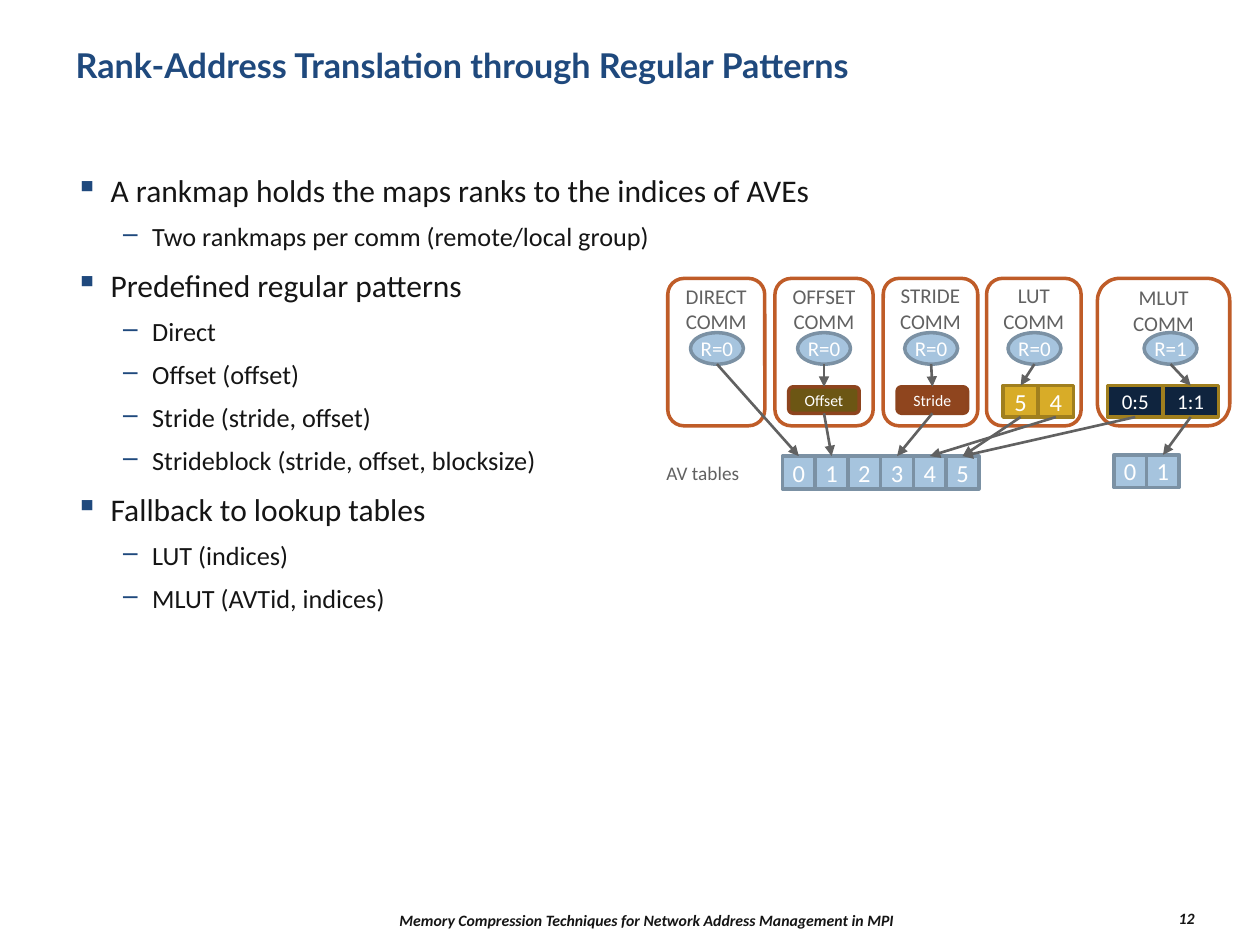
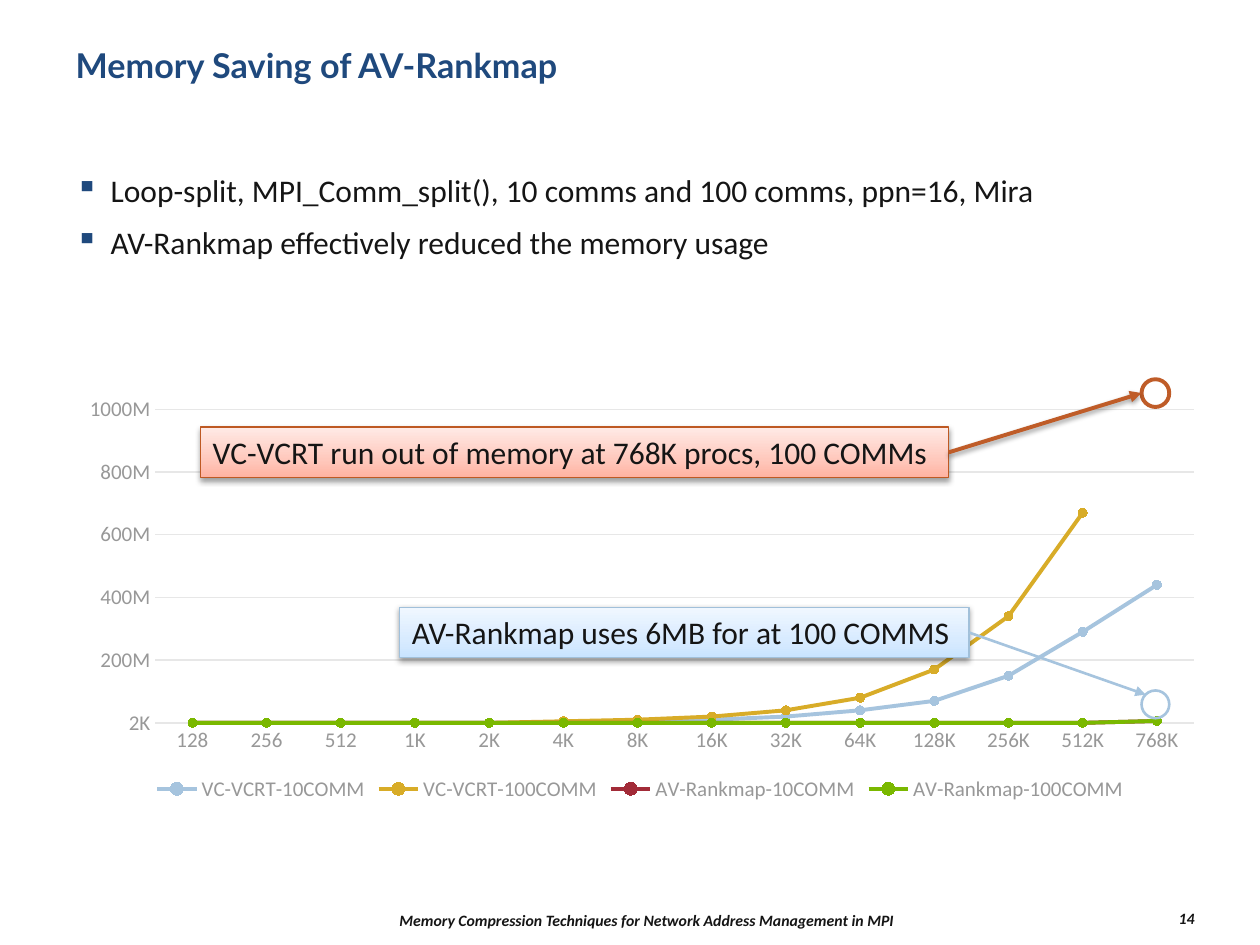
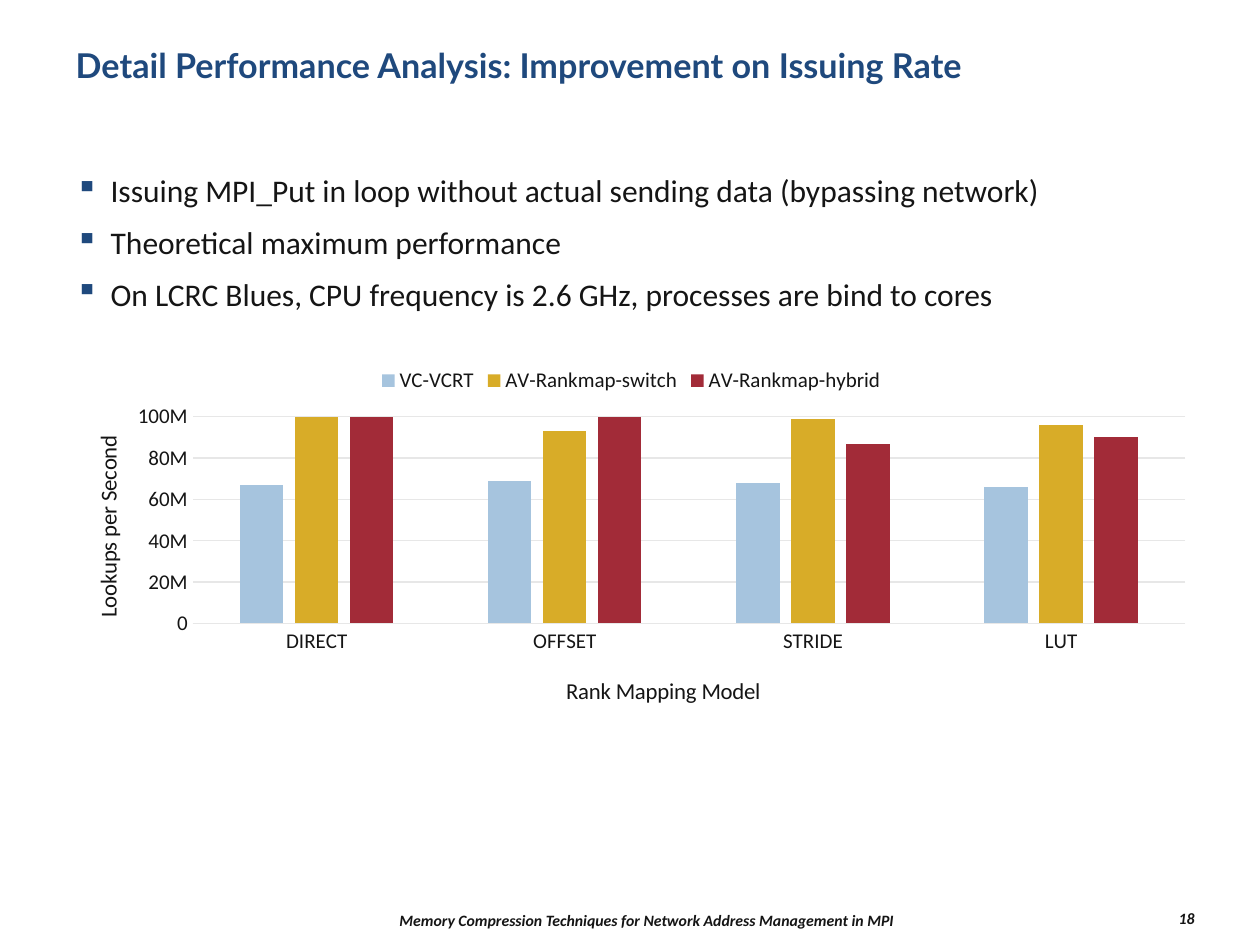
import dataclasses

import lxml.etree
import pptx
import pptx.chart.data
import pptx.dml.color
import pptx.enum.chart
import pptx.enum.dml
import pptx.enum.shapes
import pptx.enum.text
import pptx.oxml.ns
import pptx.util

SCALE = 9144
SHAPE = pptx.enum.shapes.MSO_SHAPE
ALIGN = pptx.enum.text.PP_ALIGN
ANCHOR = pptx.enum.text.MSO_ANCHOR
CHART = pptx.enum.chart.XL_CHART_TYPE
LEGEND = pptx.enum.chart.XL_LEGEND_POSITION
TICK = pptx.enum.chart.XL_TICK_MARK
qn = pptx.oxml.ns.qn
Pt = pptx.util.Pt

JOINTS = {"top": 0, "left": 1, "bottom": 2, "right": 3}
SITES = {"top": (0.5, 0), "left": (0, 0.5), "bottom": (0.5, 1),
         "right": (1, 0.5), "top_left": (0.15, 0.15)}


@dataclasses.dataclass(frozen=True)
class Theme:
    title_font: str = "Lato"
    font: str = "Calibri"
    title_size: float = 19.5
    body_sizes: tuple = (18, 15)
    footer_size: int = 9
    callout_size: int = 18
    cell_size: int = 14
    label_size: int = 12
    note_size: int = 11
    tag_size: int = 9
    axis_title_size: int = 13
    navy: str = "1F497D"
    ink: str = "151515"
    white: str = "FFFFFF"
    grey: str = "616161"
    axis_grey: str = "989898"
    grid: str = "E7E7E7"
    orange: str = "BF5C28"
    orange_edge: str = "BE5923"
    blue: str = "A6C4DE"
    blue_line: str = "7B91A4"
    blue_edge: str = "A1C0DA"
    gold: str = "D8AC28"
    gold_line: str = "A07F1E"
    red: str = "A22B38"
    green: str = "7AB800"
    olive: str = "6C5614"
    rust: str = "8F451E"
    rust_line: str = "8D441E"
    midnight: str = "0F243E"
    salmon_fade: tuple = ((0, "FFB2A1"), (35, "FFC8BC"), (100, "FFEAE6"))
    sky_fade: tuple = ((0, "C9E4FF"), (35, "D8EBFF"), (100, "F0F7FF"))
    footer: str = "Memory Compression Techniques for Network Address Management in MPI"


def rgb(color):
    return pptx.dml.color.RGBColor.from_string(color)


def assign(obj, **values):
    for name, value in values.items():
        setattr(obj, name, value)


def child(parent, tag, **attrs):
    values = {name: str(value) for name, value in attrs.items()}
    return lxml.etree.SubElement(parent, qn(tag), values)


def px(*lengths):
    return [pptx.util.Emu(length * SCALE) for length in lengths]


def site(shape, side):
    fx, fy = SITES[side]
    return round(shape.left + shape.width * fx), round(shape.top + shape.height * fy)


class Deck:
    def __init__(self, theme):
        self.theme = theme
        self.prs = pptx.Presentation()
        self.prs.slide_width, self.prs.slide_height = px(1000, 750)
        self.s = None

    def slide(self, title, number):
        t = self.theme
        self.s = self.prs.slides.add_slide(self.prs.slide_layouts[5])
        sp = self.s.shapes.title
        sp.left, sp.top, sp.width, sp.height = px(50, 30, 900, 87)
        self.fill_text(sp.text_frame, [title], t.title_size, t.navy, ALIGN.LEFT,
                       ANCHOR.TOP, font=t.title_font, bold=True)
        footer = dict(size=t.footer_size, anchor=ANCHOR.MIDDLE, bold=True, italic=True)
        self.label(t.footer, (217, 717, 592, 27), align=ALIGN.CENTER, **footer)
        self.label(str(number), (850, 715, 108, 27), align=ALIGN.RIGHT, **footer)

    def style_font(self, font, size, color, name=None, **extra):
        assign(font, name=name or self.theme.font, size=Pt(size), **extra)
        font.color.rgb = rgb(color)

    def fill_text(self, tf, lines, size, color, align, anchor, font=None,
                  wrap=True, margin=None, **extra):
        assign(tf, word_wrap=wrap, vertical_anchor=anchor,
               auto_size=pptx.enum.text.MSO_AUTO_SIZE.NONE)
        if margin is not None:
            assign(tf, margin_left=margin, margin_right=margin,
                   margin_top=margin, margin_bottom=margin)
        for i, line in enumerate(lines):
            p = tf.add_paragraph() if i else tf.paragraphs[0]
            p.alignment = align
            r = p.add_run()
            r.text = line
            self.style_font(r.font, size, color, font, **extra)

    def label(self, text, box, size, color=None, align=ALIGN.LEFT,
              anchor=ANCHOR.TOP, **extra):
        sp = self.s.shapes.add_textbox(*px(*box))
        self.fill_text(sp.text_frame, [text], size, color or self.theme.ink,
                       align, anchor, **extra)

    def bullets(self, items, height):
        t = self.theme
        tf = self.s.shapes.add_textbox(*px(50, 125, 900, height)).text_frame
        tf.word_wrap = True
        for i, (level, text) in enumerate(items):
            p = tf.add_paragraph() if i else tf.paragraphs[0]
            pPr = p._p.get_or_add_pPr()
            left, indent = ((28, -28), (61, -23))[level]
            pPr.set("marL", str(left * SCALE))
            pPr.set("indent", str(indent * SCALE))
            child(child(pPr, "a:buClr"), "a:srgbClr", val=t.navy)
            child(pPr, "a:buChar", char="▪–"[level])
            size = t.body_sizes[level]
            assign(p, level=level, line_spacing=1.2,
                   space_before=Pt(size * 0.2 if i else 0))
            r = p.add_run()
            r.text = text
            self.style_font(r.font, size, t.ink)

    def shape(self, kind, box, fill, line, width=2, lines=(), size=12, color=None,
              anchor=ANCHOR.MIDDLE):
        sp = self.s.shapes.add_shape(kind, *px(*box))
        sp.shadow.inherit = False
        if fill:
            sp.fill.solid()
            sp.fill.fore_color.rgb = rgb(fill)
        else:
            sp.fill.background()
        sp.line.color.rgb = rgb(line)
        sp.line.width = Pt(width)
        if lines:
            self.fill_text(sp.text_frame, lines, size, color or self.theme.white,
                           ALIGN.CENTER, anchor, margin=0)
        return sp

    def cells(self, labels, box, fill, line, size):
        x, y, w, h = box
        return [self.shape(SHAPE.RECTANGLE, (x + i * w, y, w, h), fill, line,
                           lines=[text], size=size) for i, text in enumerate(labels)]

    def callout(self, text, box, fade, edge):
        t = self.theme
        sp = self.shape(SHAPE.RECTANGLE, box, t.white, edge, 0.75)
        sp.fill.gradient()
        sp.fill.gradient_angle = 90
        stops = sp._element.spPr.find(".//" + qn("a:gsLst"))
        for stop in list(stops):
            stops.remove(stop)
        for pos, color in fade:
            child(child(stops, "a:gs", pos=pos * 1000), "a:srgbClr", val=color)
        self.fill_text(sp.text_frame, [text], t.callout_size, t.ink, ALIGN.LEFT,
                       ANCHOR.TOP, wrap=False)
        self.cast_shadow(sp._element.spPr.find(qn("a:effectLst")))
        return sp

    def cast_shadow(self, effects):
        shadow = child(effects, "a:outerShdw", blurRad=Pt(3.1), dist=Pt(1.6),
                       dir=5400000, rotWithShape=0)
        color = child(shadow, "a:srgbClr", val="000000")
        child(color, "a:alpha", val=38000)

    def arrow(self, start, start_side, end, end_side, color=None, width=1.5,
              shadow=False):
        c = self.s.shapes.add_connector(pptx.enum.shapes.MSO_CONNECTOR.STRAIGHT,
                                        *site(start, start_side), *site(end, end_side))
        for sp, side, connect in ((start, start_side, c.begin_connect),
                                  (end, end_side, c.end_connect)):
            if sp.auto_shape_type != SHAPE.OVAL:
                connect(sp, JOINTS[side])
        c.line.color.rgb = rgb(color or self.theme.grey)
        c.line.width = Pt(width)
        child(c.line._get_or_add_ln(), "a:tailEnd", type="triangle")
        effects = child(c._element.spPr, "a:effectLst")
        if shadow:
            self.cast_shadow(effects)

    def place(self, parent, **fractions):
        layout = parent.find(qn("c:layout"))
        if layout is None:
            layout = lxml.etree.Element(qn("c:layout"))
            parent.insert(0 if parent.find(qn("c:tx")) is None else 1, layout)
        manual = child(layout, "c:manualLayout")
        if "w" in fractions:
            child(manual, "c:layoutTarget", val="inner")
        for mode in ("c:xMode", "c:yMode"):
            child(manual, mode, val="edge")
        for name, value in fractions.items():
            child(manual, "c:" + name, val=value)

    def chart(self, kind, box, cats, series, color, legend, plot, scale, fmt):
        t = self.theme
        data = pptx.chart.data.CategoryChartData()
        data.categories = cats
        for name, values, _ in series:
            data.add_series(name, values)
        chart = self.s.shapes.add_chart(kind, *px(*box), data).chart
        assign(chart, has_title=False, has_legend=True)
        assign(chart.legend, position=legend, include_in_layout=False)
        for font in (chart.font, chart.legend.font):
            self.style_font(font, t.label_size, color)
        for axis in (chart.category_axis, chart.value_axis):
            assign(axis, major_tick_mark=TICK.NONE, minor_tick_mark=TICK.NONE)
            self.style_font(axis.tick_labels.font, t.label_size, color)
        assign(chart.value_axis, has_major_gridlines=True, **scale)
        assign(chart.value_axis.tick_labels, number_format=fmt,
               number_format_is_linked=False)
        chart.value_axis.format.line.fill.background()
        for line in (chart.category_axis.format.line,
                     chart.value_axis.major_gridlines.format.line):
            line.color.rgb = rgb(t.grid)
            line.width = Pt(0.75)
        chart.plots[0].vary_by_categories = False
        for ser, (_, _, ser_color) in zip(chart.plots[0].series, series):
            fills = [ser.format.fill]
            if kind == CHART.LINE_MARKERS:
                ser.smooth = False
                ser.format.line.color.rgb = rgb(ser_color)
                ser.format.line.width = Pt(2.25)
                assign(ser.marker, size=5,
                       style=pptx.enum.chart.XL_MARKER_STYLE.CIRCLE)
                ser.marker.format.line.color.rgb = rgb(ser_color)
                fills = [ser.marker.format.fill]
            for fill in fills:
                fill.solid()
                fill.fore_color.rgb = rgb(ser_color)
        self.place(chart.element.find(".//" + qn("c:plotArea")), **plot)
        return chart

    def axis_title(self, axis, text, x, y, rotation=0):
        axis.has_title = True
        title = axis.axis_title
        r = title.text_frame.paragraphs[0].add_run()
        r.text = text
        self.style_font(r.font, self.theme.axis_title_size, self.theme.ink, bold=False)
        title.element.find(".//" + qn("a:bodyPr")).set("rot", str(rotation * 60000))
        self.place(title.element, x=x, y=y)


def rankmap_slide(deck):
    t = deck.theme
    deck.slide("Rank-Address Translation through Regular Patterns", 12)
    deck.bullets([
        (0, "A rankmap holds the maps ranks to the indices of AVEs"),
        (1, "Two rankmaps per comm (remote/local group)"),
        (0, "Predefined regular patterns"),
        (1, "Direct"),
        (1, "Offset (offset)"),
        (1, "Stride (stride, offset)"),
        (1, "Strideblock (stride, offset, blocksize)"),
        (0, "Fallback to lookup tables"),
        (1, "LUT (indices)"),
        (1, "MLUT (AVTid, indices)"),
    ], 567)

    ranks = {}
    for name, x, w, rank, rank_x in (("DIRECT", 530, 77, "R=0", 548),
                                     ("OFFSET", 615, 78, "R=0", 633),
                                     ("STRIDE", 701, 75, "R=0", 718),
                                     ("LUT", 783, 75, "R=0", 800),
                                     ("MLUT", 871, 105, "R=1", 908)):
        deck.shape(SHAPE.ROUNDED_RECTANGLE, (x, 221, w, 117), t.white, t.orange,
                   lines=[name, "COMM"], size=t.label_size, color=t.grey,
                   anchor=ANCHOR.TOP)
        ranks[name] = deck.shape(SHAPE.OVAL, (rank_x, 264, 42, 25), t.blue,
                                 t.blue_line, lines=[rank], size=t.label_size)

    deck.label("AV tables", (519, 361, 79, 29), t.note_size, t.grey, wrap=False)
    table = deck.cells("012345", (621, 362, 26, 26), t.blue, t.blue_line, t.cell_size)
    table2 = deck.cells("01", (884, 361, 26, 26), t.blue, t.blue_line, t.cell_size)
    lut = deck.cells("54", (796, 306, 28, 25), t.gold, t.gold_line, t.cell_size)
    mlut = deck.cells(["0:5", "1:1"], (879, 306, 44, 25), t.midnight, t.gold_line,
                      t.label_size)
    offset, stride = [
        deck.shape(SHAPE.ROUNDED_RECTANGLE, (x, 307, 56, 21), fill, t.rust_line,
                   lines=[text], size=t.tag_size)
        for text, x, fill in (("Offset", 626, t.olive), ("Stride", 712, t.rust))]

    for start, end in ((ranks["DIRECT"], table[0]),
                       (ranks["OFFSET"], offset), (offset, table[1]),
                       (ranks["STRIDE"], stride), (stride, table[3]),
                       (ranks["LUT"], lut[0]), (lut[0], table[5]), (lut[1], table[4]),
                       (ranks["MLUT"], mlut[1]), (mlut[0], table[5]),
                       (mlut[1], table2[1])):
        deck.arrow(start, "bottom", end, "top")


def memory_slide(deck):
    t = deck.theme
    floor = 2000
    deck.slide("Memory Saving of AV-Rankmap", 14)
    deck.bullets([
        (0, "Loop-split, MPI_Comm_split(), 10 comms and 100 comms, ppn=16, Mira"),
        (0, "AV-Rankmap effectively reduced the memory usage"),
    ], 126)
    cats = ["128", "256", "512", "1K", "2K", "4K", "8K", "16K", "32K", "64K",
            "128K", "256K", "512K", "768K"]
    megabytes = (
        ("VC-VCRT-10COMM", [10, 20, 40, 70, 150, 290, 440], t.blue),
        ("VC-VCRT-100COMM", [5, 10, 20, 40, 80, 170, 340, 670, None], t.gold),
        ("AV-Rankmap-10COMM", [6], t.red),
        ("AV-Rankmap-100COMM", [6], t.green),
    )
    series = [(name, [floor] * (len(cats) - len(tail))
               + [v and v * 1000000 for v in tail], color)
              for name, tail, color in megabytes]
    deck.chart(CHART.LINE_MARKERS, (50, 309, 916, 331), cats, series, t.axis_grey,
               LEGEND.BOTTOM, dict(x=0.08, y=0.03, w=0.9, h=0.77),
               dict(minimum_scale=floor, maximum_scale=1024000000,
                    major_unit=200000000),
               '[>=1048576]#0,,"M";[>=1024]#0,"K";0')

    failure = deck.callout("VC-VCRT run out of memory at 768K procs, 100 COMMs",
                           (159, 339, 594, 40), t.salmon_fade, t.orange_edge)
    ring = deck.shape(SHAPE.OVAL, (906, 301, 22, 22), t.white, t.orange, 2.25)
    deck.arrow(failure, "right", ring, "left", t.orange, 2.25, shadow=True)
    saving = deck.callout("AV-Rankmap uses 6MB for at 100 COMMS",
                          (317, 482, 452, 40), t.sky_fade, t.blue_edge)
    ring = deck.shape(SHAPE.OVAL, (906, 548, 22, 22), None, t.blue, 1.5)
    deck.arrow(saving, "right", ring, "top_left", t.blue)


def issuing_rate_slide(deck):
    t = deck.theme
    deck.slide("Detail Performance Analysis: Improvement on Issuing Rate", 18)
    deck.bullets([
        (0, "Issuing MPI_Put in loop without actual sending data (bypassing network)"),
        (0, "Theoretical maximum performance"),
        (0, "On LCRC Blues, CPU frequency is 2.6 GHz, processes are bind to cores"),
    ], 148)
    millions = (("VC-VCRT", (67, 69, 68, 66), t.blue),
                ("AV-Rankmap-switch", (100, 93, 99, 96), t.gold),
                ("AV-Rankmap-hybrid", (100, 100, 87, 90), t.red))
    series = [(name, [v * 1000000 for v in values], color)
              for name, values, color in millions]
    chart = deck.chart(CHART.COLUMN_CLUSTERED, (43, 281, 916, 293),
                       ["DIRECT", "OFFSET", "STRIDE", "LUT"], series, t.ink, LEGEND.TOP,
                       dict(x=0.12, y=0.17, w=0.86, h=0.56),
                       dict(minimum_scale=0, maximum_scale=100000000,
                            major_unit=20000000),
                       '[>=1000000]#0,,"M";[>=1000]#0,"K";0')
    assign(chart.plots[0], gap_width=219, overlap=-27)
    deck.axis_title(chart.category_axis, "Rank Mapping Model", 0.44, 0.86)
    deck.axis_title(chart.value_axis, "Lookups per Second", 0.03, 0.21, -90)


def main():
    deck = Deck(Theme())
    rankmap_slide(deck)
    memory_slide(deck)
    issuing_rate_slide(deck)
    deck.prs.save("out.pptx")


if __name__ == "__main__":
    main()
